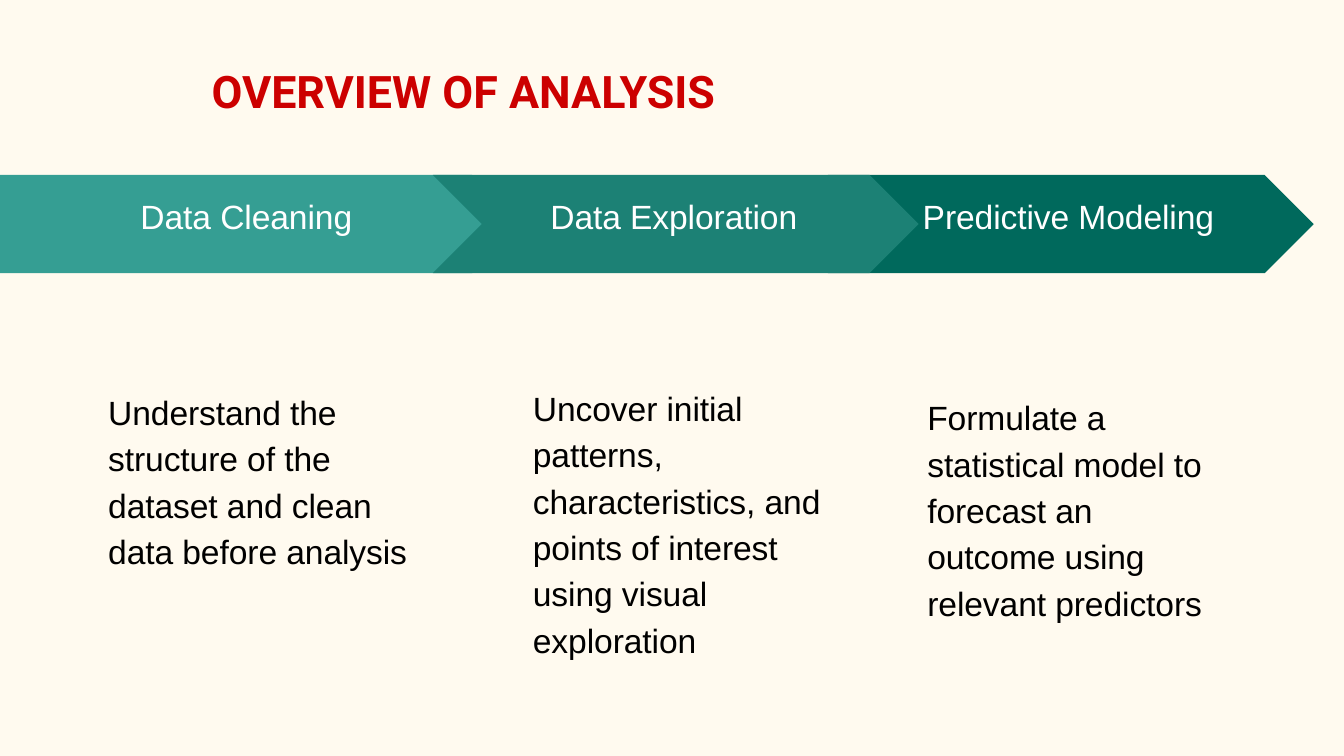
from dataclasses import dataclass

from pptx import Presentation
from pptx.dml.color import RGBColor
from pptx.enum.shapes import MSO_SHAPE
from pptx.util import Pt

PENTAGON, CHEVRON = MSO_SHAPE.PENTAGON, MSO_SHAPE.CHEVRON


@dataclass(frozen=True)
class Theme:
    background: str = "FFFAEF"
    title: str = "CC0000"
    label: str = "FFFFFF"
    body: str = "000000"
    light: str = "359E93"
    medium: str = "1C8175"
    dark: str = "00695C"
    title_font: str = "Roboto"
    text_font: str = "Arial"
    title_size: int = 48
    text_size: int = 36


theme = Theme()
prs = Presentation()
prs.slide_width, prs.slide_height = Pt(1440), Pt(810)
slide = prs.slides.add_slide(prs.slide_layouts[6])
slide.background.fill.solid()
slide.background.fill.fore_color.rgb = RGBColor.from_string(theme.background)


def add_text(text, left, top, width, height, color, leading,
             font=theme.text_font, size=theme.text_size, bold=False, spacing=-10):
    frame = slide.shapes.add_textbox(Pt(left), Pt(top), Pt(width), Pt(height)).text_frame
    frame.word_wrap = True
    frame.margin_left = frame.margin_right = frame.margin_top = frame.margin_bottom = 0
    paragraph = frame.paragraphs[0]
    paragraph.line_spacing = Pt(leading)
    run = paragraph.add_run()
    run.text = text
    run.font.name, run.font.size, run.font.bold = font, Pt(size), bold
    run.font.color.rgb = RGBColor.from_string(color)
    # Character spacing in hundredths of a point
    run.font._element.set("spc", str(spacing))


# Title
add_text("OVERVIEW OF ANALYSIS", 226.8, 68.4, 631.4, 62, theme.title, 57.6,
         theme.title_font, theme.title_size, True, 0)

# Process steps, back to front: each arrow tip overlaps the following step
BAND_TOP, BAND_HEIGHT = 187.4, 105.4
LABEL_TOP, LABEL_HEIGHT = 210.2, 52.4
steps = [
    # arrow, left, width, fill, label (left, width), details (left, top, width, height)
    (CHEVRON, 887, 520.6, theme.dark,
     "Predictive Modeling", (988.6, 317.5),
     "Formulate a statistical model to forecast an outcome using relevant predictors",
     (993.6, 419, 300.2, 262)),
    (PENTAGON, 0, 558.5, theme.light,
     "Data Cleaning", (150.5, 231.8),
     "Understand the structure of the dataset and clean data before analysis",
     (115.9, 413.3, 325.4, 212.4)),
    (CHEVRON, 463.7, 520.6, theme.medium,
     "Data Exploration", (589.7, 269.3),
     "Uncover initial patterns, characteristics, and points of interest using visual exploration",
     (571, 409, 313.9, 311.8)),
]

for kind, left, width, fill, label, (label_left, label_width), details, details_box in steps:
    arrow = slide.shapes.add_shape(kind, Pt(left), Pt(BAND_TOP), Pt(width), Pt(BAND_HEIGHT))
    arrow.shadow.inherit = False
    arrow.fill.solid()
    arrow.fill.fore_color.rgb = RGBColor.from_string(fill)
    arrow.line.fill.background()
    add_text(label, label_left, LABEL_TOP, label_width, LABEL_HEIGHT, theme.label, 43.2)
    add_text(details, *details_box, theme.body, 49.7)

prs.save("out.pptx")
